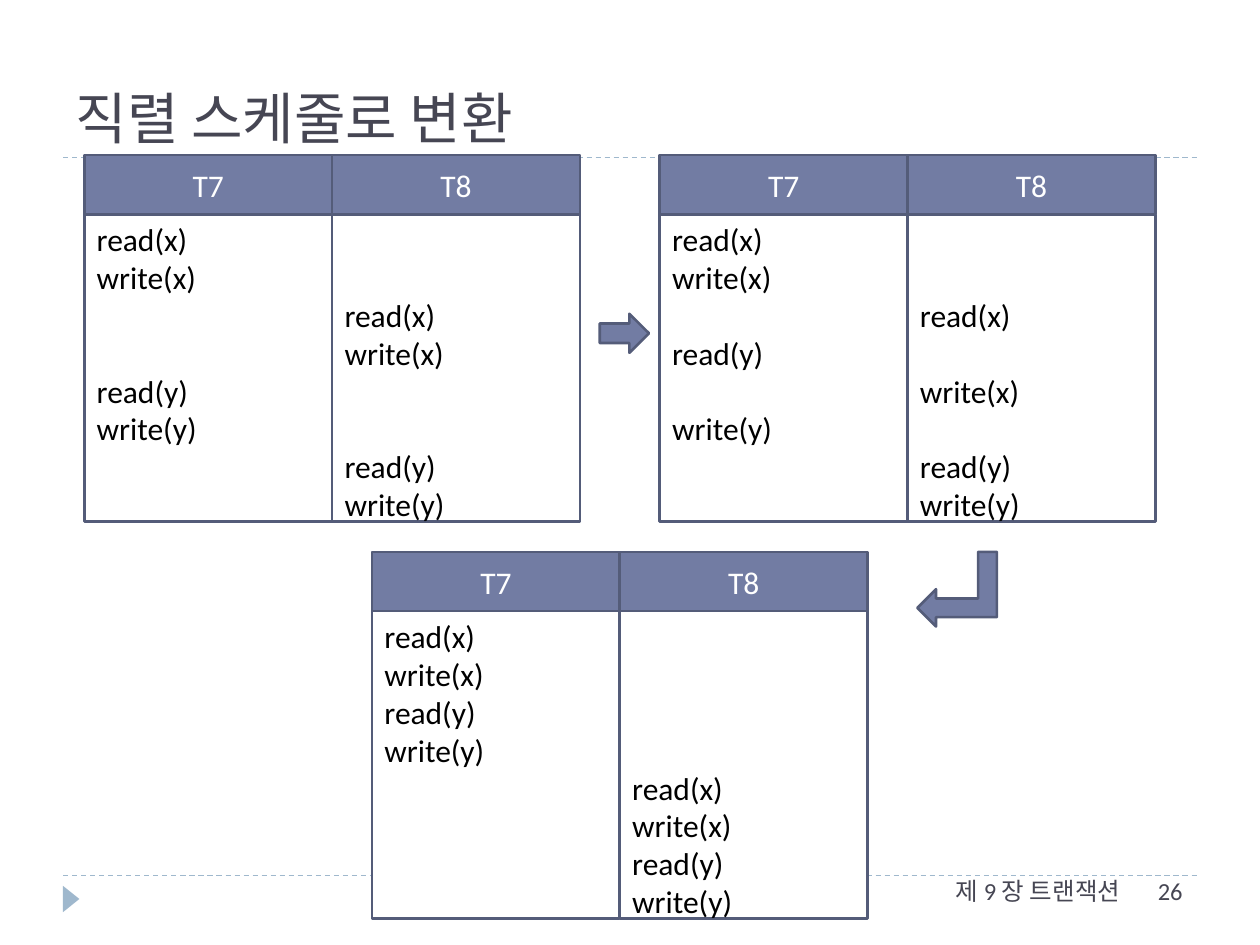
from lxml import etree
from pptx import Presentation
from pptx.dml.color import RGBColor
from pptx.enum import dml, shapes, text
from pptx.oxml import ns
from pptx.util import Pt

LINE_PITCH = 21.6
INSET = 3.6


def color(value):
    return RGBColor.from_string(value)


class SlideBuilder:
    accent = "727CA3"
    outline = "545C79"
    pale = "9FB8CD"
    dark = "464653"
    white = "FFFFFF"
    black = "000000"
    body_font = "Calibri"
    title_font = "Arial"
    column_width = 141.6
    header_height = 33.8
    body_height = 175.6

    def __init__(self, slide):
        self.slide = slide

    def run(self, paragraph, words, size, hue, font=body_font):
        run = paragraph.add_run()
        run.text = words
        run.font.size = Pt(size)
        run.font.name = font
        run.font.color.rgb = color(hue)

    def title(self, words, left, top, width, height):
        shape = self.slide.shapes.title
        shape.left, shape.top = Pt(left), Pt(top)
        shape.width, shape.height = Pt(width), Pt(height)
        frame = shape.text_frame
        frame.vertical_anchor = text.MSO_ANCHOR.BOTTOM
        frame.paragraphs[0].alignment = text.PP_ALIGN.LEFT
        self.run(frame.paragraphs[0], words, 32, self.dark, self.title_font)

    def rule(self, left, right, y):
        line = self.slide.shapes.add_connector(
            shapes.MSO_CONNECTOR.STRAIGHT, Pt(left), Pt(y), Pt(right), Pt(y))
        line.line.color.rgb = color(self.pale)
        line.line.width = Pt(0.75)
        line.line.dash_style = dml.MSO_LINE.DASH
        etree.SubElement(line.element.spPr, ns.qn("a:effectLst"))

    def shape(self, kind, left, top, width, height, fill, outline=outline,
              rotation=0, flip=False):
        shape = self.slide.shapes.add_shape(
            kind, Pt(left), Pt(top), Pt(width), Pt(height))
        shape.shadow.inherit = False
        shape.fill.solid()
        shape.fill.fore_color.rgb = color(fill)
        if outline:
            shape.line.color.rgb = color(outline)
            shape.line.width = Pt(1.5)
        else:
            shape.line.fill.background()
        shape.rotation = rotation
        if flip:
            shape.element.spPr.get_or_add_xfrm().set("flipH", "1")
        return shape

    def header(self, words, left, top):
        shape = self.shape(shapes.MSO_SHAPE.RECTANGLE, left, top,
                           self.column_width, self.header_height, self.accent)
        frame = shape.text_frame
        frame.vertical_anchor = text.MSO_ANCHOR.MIDDLE
        frame.paragraphs[0].alignment = text.PP_ALIGN.CENTER
        self.run(frame.paragraphs[0], words, 18, self.white)

    def operations(self, steps, left, top):
        shape = self.shape(shapes.MSO_SHAPE.RECTANGLE, left, top,
                           self.column_width, self.body_height, self.white)
        frame = shape.text_frame
        frame.vertical_anchor = text.MSO_ANCHOR.TOP
        frame.margin_bottom = 0
        previous = None
        for row, words in steps.items():
            if previous is None:
                frame.margin_top = Pt(INSET + row * LINE_PITCH)
                paragraph = frame.paragraphs[0]
            else:
                paragraph = frame.add_paragraph()
                paragraph.space_before = Pt((row - previous - 1) * LINE_PITCH)
            paragraph.alignment = text.PP_ALIGN.LEFT
            paragraph.line_spacing = Pt(LINE_PITCH)
            self.run(paragraph, words, 18, self.black)
            previous = row

    def schedule(self, left, top, rows_by_transaction):
        columns = [(name, left + index * self.column_width)
                   for index, name in enumerate(rows_by_transaction)]
        for name, x in columns:
            self.header(name, x, top)
        for name, x in columns:
            steps = dict(zip(rows_by_transaction[name], OPERATIONS))
            self.operations(steps, x, top + self.header_height)

    def label(self, words, left, top, width, height, alignment):
        frame = self.slide.shapes.add_textbox(
            Pt(left), Pt(top), Pt(width), Pt(height)).text_frame
        frame.word_wrap = True
        frame.paragraphs[0].alignment = alignment
        self.run(frame.paragraphs[0], words, 14, self.dark)


OPERATIONS = ["read(x)", "write(x)", "read(y)", "write(y)"]

SCHEDULES = [
    (48.2, 88.6, {"T7": [0, 1, 4, 5], "T8": [2, 3, 6, 7]}),
    (377, 88.6, {"T7": [0, 1, 3, 5], "T8": [2, 4, 6, 7]}),
    (212.6, 315.4, {"T7": [0, 1, 2, 3], "T8": [4, 5, 6, 7]}),
]


def main():
    presentation = Presentation()
    presentation.slide_width, presentation.slide_height = Pt(720), Pt(540)
    builder = SlideBuilder(
        presentation.slides.add_slide(presentation.slide_layouts[5]))

    for y in (500.4, 90):
        builder.rule(36, 684, y)
    builder.shape(shapes.MSO_SHAPE.ISOSCELES_TRIANGLE, 33.1, 509, 15.1, 9.4,
                  builder.pale, outline=None, rotation=90)
    builder.title("직렬 스케줄로 변환", 36, 12.2, 648, 77.8)
    for left, top, rows_by_transaction in SCHEDULES:
        builder.schedule(left, top, rows_by_transaction)
    builder.shape(shapes.MSO_SHAPE.RIGHT_ARROW, 342.7, 179.3, 28.1, 22.3,
                  builder.accent)
    builder.shape(shapes.MSO_SHAPE.BENT_UP_ARROW, 525.6, 314, 42.7, 45.4,
                  builder.accent, rotation=270, flip=True)
    builder.label("제 9 장 트랜잭션", 373.7, 496.8, 273.6, 28.8,
                  text.PP_ALIGN.RIGHT)
    builder.label("26", 654.5, 496.8, 51.1, 28.8, text.PP_ALIGN.LEFT)

    presentation.save("out.pptx")


if __name__ == "__main__":
    main()
